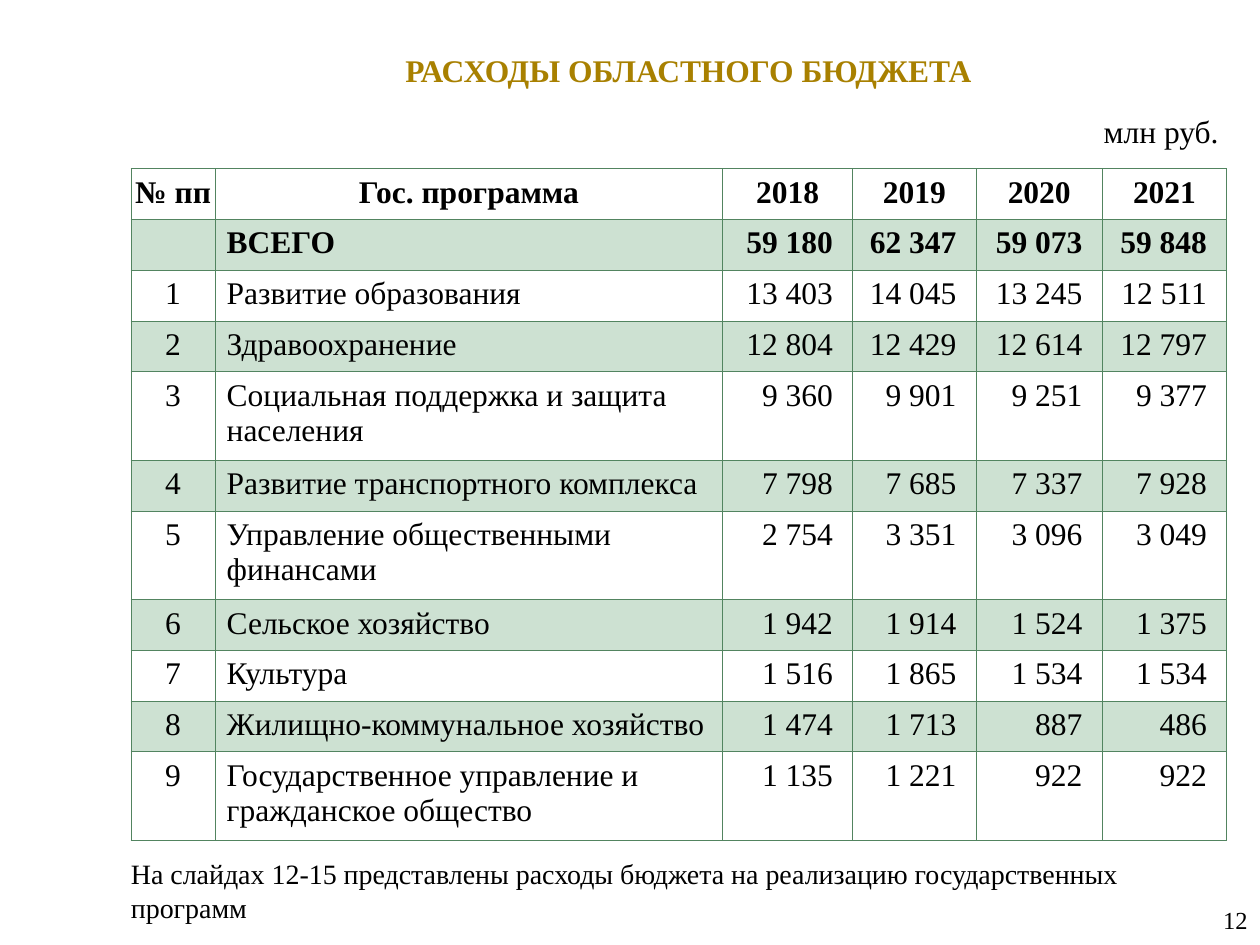
from lxml.etree import SubElement
from pptx import Presentation
from pptx.dml.color import RGBColor
from pptx.enum.text import MSO_ANCHOR as ANCHOR, MSO_AUTO_SIZE as FIT, PP_ALIGN as AL
from pptx.oxml.ns import qn
from pptx.util import Cm, Pt

TITLE = "РАСХОДЫ ОБЛАСТНОГО БЮДЖЕТА"
UNIT = "млн руб."
NOTE = ("На слайдах 12-15 представлены расходы бюджета на реализацию "
        "государственных программ")
PAGE = "12"

ROWS = [
    ("№ пп", "Гос. программа", "2018", "2019", "2020", "2021"),
    ("", "ВСЕГО", "59 180", "62 347", "59 073", "59 848"),
    ("1", "Развитие образования", "13 403", "14 045", "13 245", "12 511"),
    ("2", "Здравоохранение", "12 804", "12 429", "12 614", "12 797"),
    ("3", "Социальная поддержка и защита населения", "9 360", "9 901", "9 251", "9 377"),
    ("4", "Развитие транспортного комплекса", "7 798", "7 685", "7 337", "7 928"),
    ("5", "Управление общественными финансами", "2 754", "3 351", "3 096", "3 049"),
    ("6", "Сельское хозяйство", "1 942", "1 914", "1 524", "1 375"),
    ("7", "Культура", "1 516", "1 865", "1 534", "1 534"),
    ("8", "Жилищно-коммунальное хозяйство", "1 474", "1 713", "887", "486"),
    ("9", "Государственное управление и гражданское общество",
     "1 135", "1 221", "922", "922"),
]
COL_WIDTHS = (1.7, 10.23, 2.62, 2.49, 2.54, 2.51)
ROW_HEIGHT, TALL_ROW_HEIGHT = 1.02, 1.77
LINE_CHARS = 32

FONT = "Times New Roman"
BLACK = RGBColor(0x00, 0x00, 0x00)
GOLD = RGBColor(0xA8, 0x80, 0x00)
BAND = RGBColor(0xCD, 0xE1, 0xD2)
BORDER = RGBColor(0x52, 0x84, 0x60)


def write(tf, text, size, color=BLACK, bold=False, align=AL.LEFT):
    tf.text = text
    p = tf.paragraphs[0]
    p.alignment = align
    for font in (p.font, *(r.font for r in p.runs)):
        font.name, font.size, font.bold = FONT, Pt(size), bold
        font.color.rgb = color
    return p


def place(sp, left, top, width, height):
    sp.left, sp.top, sp.width, sp.height = (Cm(v) for v in (left, top, width, height))


def add_text(slide, box, text, size, align=AL.LEFT):
    sp = slide.shapes.add_textbox(*(Cm(v) for v in box))
    sp.text_frame.word_wrap = True
    write(sp.text_frame, text, size, align=align)
    return sp


def set_borders(cell):
    tc_pr = cell._tc.get_or_add_tcPr()
    for side in ("lnL", "lnR", "lnT", "lnB"):
        ln = SubElement(tc_pr, qn(f"a:{side}"), w=str(Pt(0.5)))
        fill = SubElement(ln, qn("a:solidFill"))
        SubElement(fill, qn("a:srgbClr"), val=str(BORDER))


def fill_cell(cell, text, row, col):
    is_value = row > 0 and col > 1
    is_name = row > 0 and col == 1
    cell.margin_left = Cm(0.02)
    cell.margin_right = Cm(0.4 if is_value else 0.02)
    cell.margin_top = cell.margin_bottom = Cm(0.13)
    cell.vertical_anchor = ANCHOR.TOP
    align = AL.RIGHT if is_value else AL.LEFT if is_name else AL.CENTER
    p = write(cell.text_frame, text, 18, bold=row < 2, align=align)
    if is_name:
        p._p.get_or_add_pPr().set("marL", str(Cm(0.21)))
    set_borders(cell)
    if row % 2:
        cell.fill.solid()
        cell.fill.fore_color.rgb = BAND
    else:
        cell.fill.background()


def add_budget_table(slide):
    heights = [TALL_ROW_HEIGHT if len(row[1]) > LINE_CHARS else ROW_HEIGHT for row in ROWS]
    frame = slide.shapes.add_table(len(ROWS), len(COL_WIDTHS), Cm(2.64), Cm(3.4),
                                   Cm(sum(COL_WIDTHS)), Cm(sum(heights)))
    table = frame.table
    table.first_row = table.horz_banding = False
    for column, width in zip(table.columns, COL_WIDTHS):
        column.width = Cm(width)
    for i, (values, height) in enumerate(zip(ROWS, heights)):
        table.rows[i].height = Cm(height)
        for j, text in enumerate(values):
            fill_cell(table.cell(i, j), text, i, j)


def main():
    prs = Presentation()
    prs.slide_width, prs.slide_height = Cm(25.4), Cm(19.05)
    slide = prs.slides.add_slide(prs.slide_layouts[5])

    title = slide.shapes.title
    place(title, 3.38, 0.91, 21, 1.02)
    title.text_frame.vertical_anchor = ANCHOR.TOP
    title.text_frame.auto_size = FIT.SHAPE_TO_FIT_TEXT
    write(title.text_frame, TITLE, 18, GOLD, True, AL.CENTER)

    page = add_text(slide, (19.69, 18.03, 5.71, 1.02), PAGE, 14, AL.RIGHT)
    page.text_frame.vertical_anchor = ANCHOR.MIDDLE
    add_text(slide, (22, 2.13, 2.97, 1.02), UNIT, 18)
    add_text(slide, (2.39, 17.15, 22.58, 1.63), NOTE, 16)
    add_budget_table(slide)
    prs.save("out.pptx")


if __name__ == "__main__":
    main()
